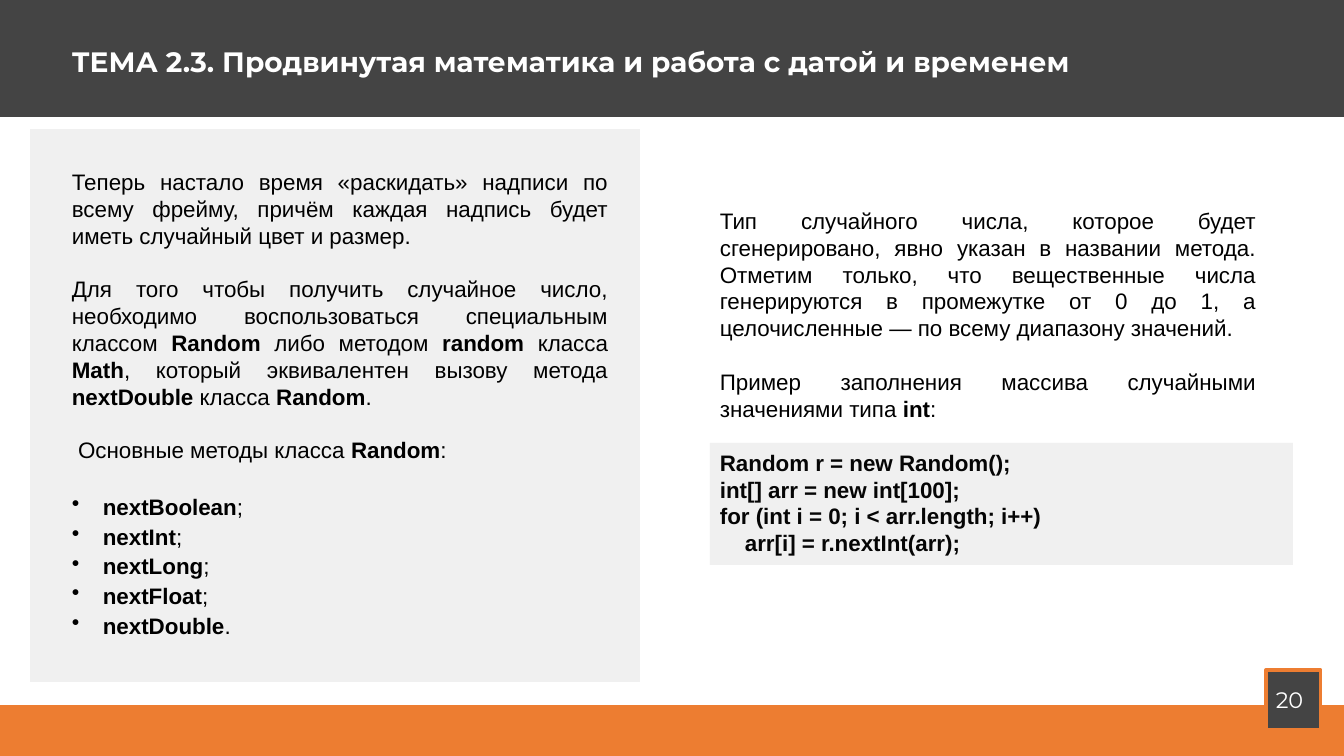
from lxml import etree
from pptx import Presentation
from pptx.dml.color import RGBColor
from pptx.enum.shapes import MSO_SHAPE
from pptx.enum.text import MSO_AUTO_SIZE, PP_ALIGN
from pptx.oxml.ns import qn
from pptx.util import Pt

EMU_PER_PX = 914400 / 100.8
SLIDE_WIDTH, SLIDE_HEIGHT = 1344, 756

DARK = RGBColor(0x44, 0x44, 0x44)
ORANGE = RGBColor(0xED, 0x7D, 0x31)
WHITE = RGBColor(0xFF, 0xFF, 0xFF)
BLACK = RGBColor(0x00, 0x00, 0x00)

RECTANGLE = MSO_SHAPE.RECTANGLE
LEFT, JUSTIFY = PP_ALIGN.LEFT, PP_ALIGN.JUSTIFY
NO_AUTOFIT = MSO_AUTO_SIZE.NONE
BLOCK_GAP = 19.2

TITLE = "ТЕМА 2.3. Продвинутая математика и работа с датой и временем"
INTRO = [
    (["Теперь настало время «раскидать» надписи по всему фрейму, "
      "причём каждая надпись будет иметь случайный цвет и размер."], JUSTIFY),
    (["Для того чтобы получить случайное число, необходимо воспользоваться "
      "специальным классом ", "Random", " либо методом ", "random", " класса ",
      "Math", ", который эквивалентен вызову метода ", "nextDouble",
      " класса ", "Random", "."], JUSTIFY),
    ([" Основные методы класса ", "Random", ":"], LEFT),
]
METHODS = ["nextBoolean", "nextInt", "nextLong", "nextFloat", "nextDouble"]
EXPLANATION = [
    ["Тип случайного числа, которое будет сгенерировано, явно указан в "
     "названии метода. Отметим только, что вещественные числа генерируются "
     "в промежутке от 0 до 1, а целочисленные — по всему диапазону значений."],
    ["Пример заполнения массива случайными значениями типа ", "int", ":"],
]
CODE = [
    ("Random r = new Random();", 0),
    ("int[] arr = new int[100];", 0),
    ("for (int i = 0; i < arr.length; i++)", 0),
    ("arr[i] = r.nextInt(arr);", 25),
]


def px(length):
    """Turn pixels into EMU."""
    return round(length * EMU_PER_PX)


def add_box(slide, left, top, width, height, color, alpha=None, border=None):
    """Draw a flat rectangle, optionally translucent or bordered."""
    shape = slide.shapes.add_shape(RECTANGLE, *map(px, (left, top, width, height)))
    shape.shadow.inherit = False
    shape.fill.solid()
    shape.fill.fore_color.rgb = color
    if alpha is not None:
        color_element = shape.fill._xPr.find(".//" + qn("a:srgbClr"))
        etree.SubElement(color_element, qn("a:alpha"), val=str(alpha * 1000))
    if border is None:
        shape.line.fill.background()
    else:
        shape.line.color.rgb = border
        shape.line.width = Pt(2.25)


def add_text_frame(slide, left, top, width, height):
    """Place a wrapping text box and return its frame."""
    box = slide.shapes.add_textbox(*map(px, (left, top, width, height)))
    box.text_frame.word_wrap = True
    box.text_frame.auto_size = NO_AUTOFIT
    return box.text_frame


def add_paragraph(frame, pieces, align=LEFT, font="Arial", size=16, color=BLACK):
    """Write a paragraph in which every second piece is bold."""
    first = frame.paragraphs[0]
    paragraph = frame.add_paragraph() if first.runs else first
    paragraph.alignment = align
    paragraph.font.name = font
    paragraph.font.size = Pt(size)
    paragraph.font.color.rgb = color
    for index, piece in enumerate(pieces):
        if piece:
            run = paragraph.add_run()
            run.text = piece
            run.font.bold = index % 2 == 1
    return paragraph


def indent(paragraph, margin, first_line=0):
    """Set the left margin and first-line indent."""
    properties = paragraph._p.get_or_add_pPr()
    properties.set("marL", str(px(margin)))
    properties.set("indent", str(px(first_line)))
    return properties


def add_bullet(paragraph):
    """Give a paragraph a hanging round bullet."""
    properties = indent(paragraph, 31, -31)
    bullet = etree.Element(qn("a:buChar"), char="•")
    defaults = properties.find(qn("a:defRPr"))
    defaults.addprevious(bullet)


def add_header(slide, left, top, width, height):
    """Draw the dark title band."""
    add_box(slide, left, top, width, height, DARK)
    frame = add_text_frame(slide, left + 64, top + 37, 1138, 46)
    title = add_paragraph(frame, ["", TITLE], font="Montserrat", size=20, color=WHITE)
    title.line_spacing = 1.07


def add_footer(slide, left, top, width, height):
    """Draw the orange band with the page number."""
    add_box(slide, left, top, width, height, ORANGE)
    badge_left, badge_top = left + 1266, top - 35
    add_box(slide, badge_left, badge_top, 55, 60, DARK, border=ORANGE)
    frame = add_text_frame(slide, badge_left, badge_top + 11, 55, 36)
    number = add_paragraph(frame, ["20"], font="Montserrat", color=WHITE)
    number.line_spacing = 1.01


def add_intro_panel(slide, left, top, width, height):
    """Draw the grey panel with the introduction and method list."""
    add_box(slide, left, top, width, height, DARK, alpha=8)
    frame = add_text_frame(slide, left + 32, top + 34, 556, 486)
    for pieces, align in INTRO:
        paragraph = add_paragraph(frame, pieces, align)
        paragraph.space_after = Pt(BLOCK_GAP)
    for method in METHODS:
        ending = "." if method == METHODS[-1] else ";"
        paragraph = add_paragraph(frame, ["", method, ending])
        paragraph.space_before = Pt(2)
        add_bullet(paragraph)


def add_example(slide, left, top, width, height):
    """Write the explanation and the shaded code below it."""
    frame = add_text_frame(slide, left, top, 556, height)
    for pieces in EXPLANATION:
        paragraph = add_paragraph(frame, pieces, JUSTIFY)
        paragraph.space_after = Pt(BLOCK_GAP)
    for line, margin in CODE:
        indent(add_paragraph(frame, ["", line], JUSTIFY), margin)
    add_box(slide, left, top + 241, width, 122, DARK, alpha=8)


def main():
    """Build and save the slide."""
    presentation = Presentation()
    presentation.slide_width = px(SLIDE_WIDTH)
    presentation.slide_height = px(SLIDE_HEIGHT)
    slide = presentation.slides.add_slide(presentation.slide_layouts[6])
    add_header(slide, -2, 0, 1347, 117)
    add_footer(slide, 0, 705, SLIDE_WIDTH, 51)
    add_intro_panel(slide, 30, 129, 610, 553)
    add_example(slide, 710, 202, 583, 363)
    presentation.save("out.pptx")


if __name__ == "__main__":
    main()
